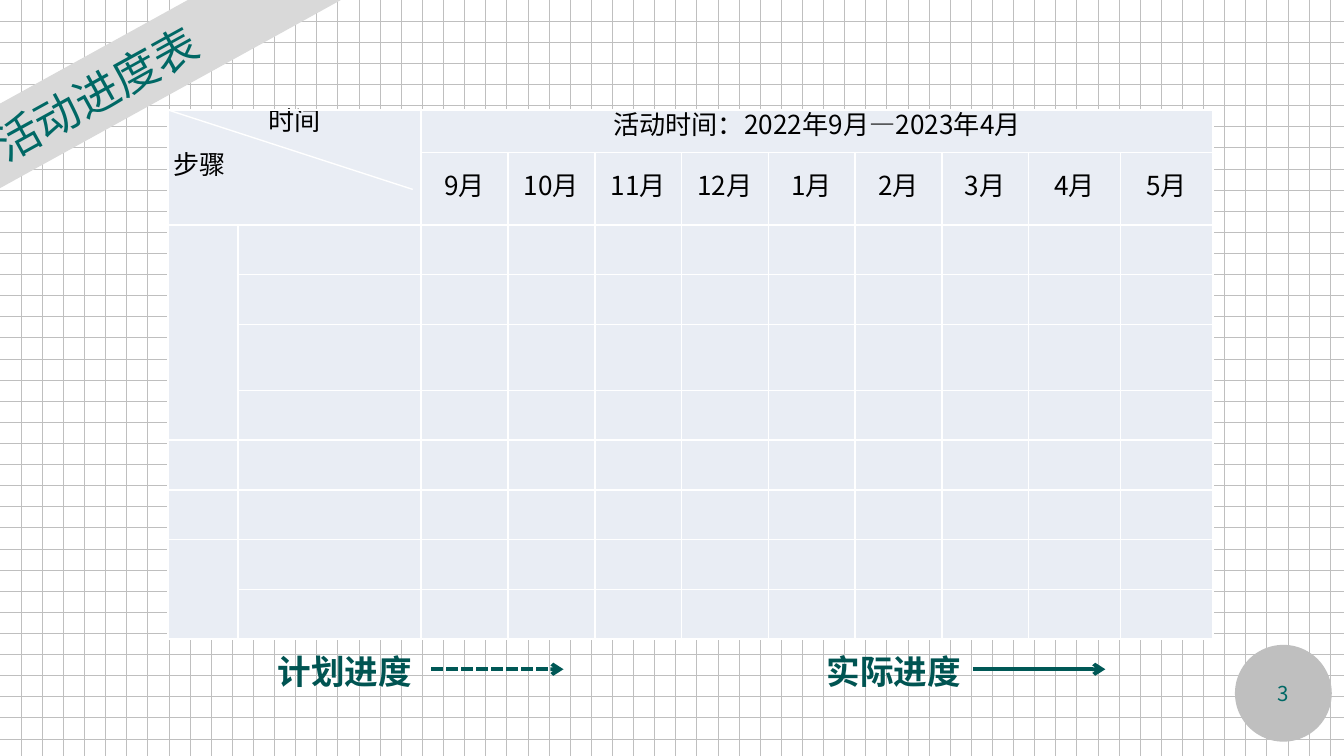
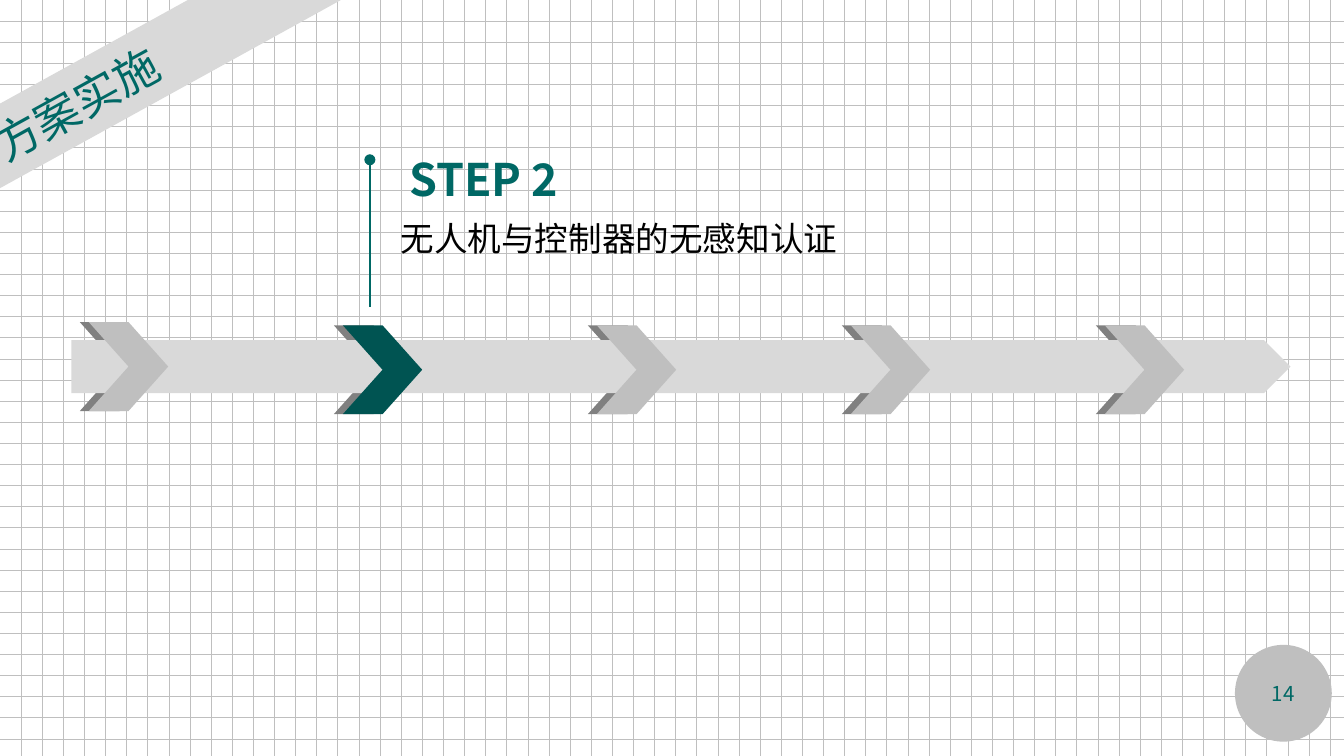
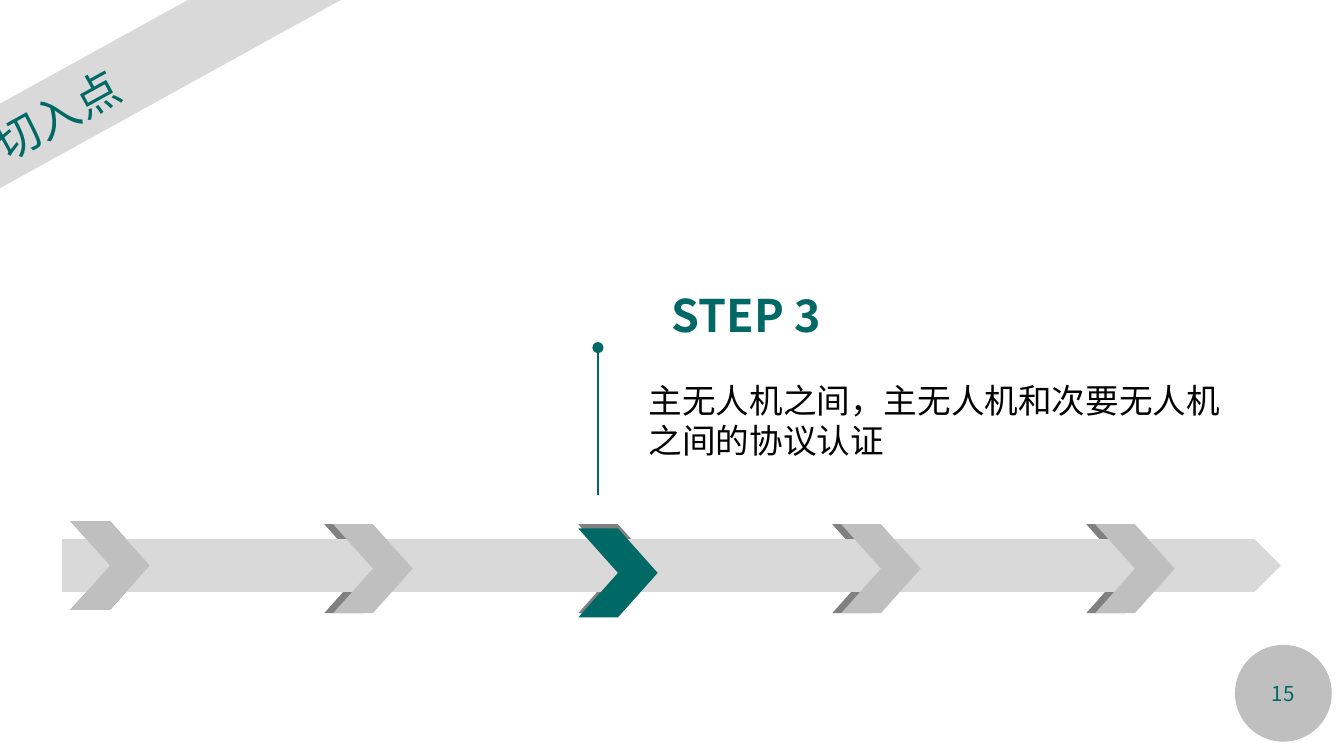
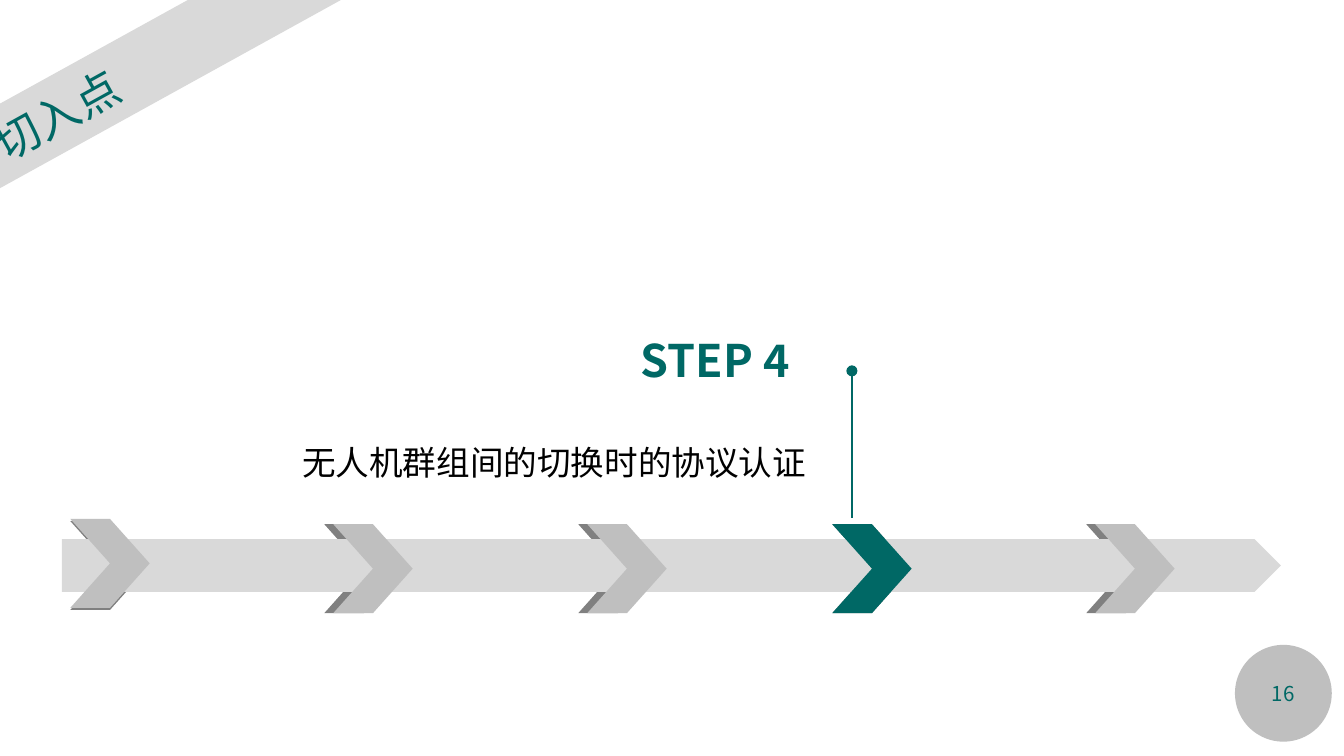
from dataclasses import dataclass

from lxml import etree
from pptx import Presentation
from pptx.dml.color import RGBColor
from pptx.enum.dml import MSO_LINE, MSO_PATTERN
from pptx.enum.shapes import MSO_CONNECTOR, MSO_SHAPE
from pptx.enum.text import MSO_ANCHOR, MSO_AUTO_SIZE, PP_ALIGN
from pptx.oxml.ns import qn
from pptx.util import Cm, Pt

RECTANGLE = MSO_SHAPE.RECTANGLE
OVAL = MSO_SHAPE.OVAL
CHEVRON = MSO_SHAPE.CHEVRON
PENTAGON = MSO_SHAPE.PENTAGON
STRAIGHT = MSO_CONNECTOR.STRAIGHT
SHORT_DASH = MSO_LINE.SQUARE_DOT
DOT_GRID = MSO_PATTERN.DOTTED_GRID
LEFT, CENTER = PP_ALIGN.LEFT, PP_ALIGN.CENTER
TOP, MIDDLE = MSO_ANCHOR.TOP, MSO_ANCHOR.MIDDLE
FIT_TEXT = MSO_AUTO_SIZE.SHAPE_TO_FIT_TEXT


@dataclass(frozen=True)
class Theme:
    teal: str = "006865"
    deep_teal: str = "005452"
    arrow: str = "005856"
    black: str = "000000"
    white: str = "FFFFFF"
    band: str = "D9D9D9"
    silver: str = "BFBFBF"
    fold: str = "808080"
    cell: str = "E9EDF4"
    font: str = "Noto Sans CJK SC"
    body_font: str = "Calibri"
    title_size: int = 24
    body_size: int = 18
    table_size: int = 14
    number_size: int = 11


THEME = Theme()
LEAN = (0.17, 0)
STEP_GAP = 4.8
CHEVRON_SIZE = (1.5, 1.68)
MONTHS = ["9月", "10月", "11月", "12月", "1月", "2月", "3月", "4月", "5月"]
COLUMN_WIDTHS = [1.32, 3.46] + [1.64] * 7 + [1.74] * 2
ROW_HEIGHTS = [0.8, 0.74, 0.94, 0.94, 1.25] + [0.94] * 5


def lengths(values):
    return [Cm(value) for value in values]


class Builder:
    def __init__(self, theme):
        self.theme = theme
        self.deck = Presentation()
        self.deck.slide_width, self.deck.slide_height = Cm(25.4), Cm(14.29)
        self.page = None

    def new_page(self, grid=False):
        self.page = self.deck.slides.add_slide(self.deck.slide_layouts[6])
        fill = self.page.background.fill
        if grid:
            fill.patterned()
            fill.pattern = DOT_GRID
            fill.fore_color.rgb = RGBColor.from_string(self.theme.silver)
            fill.back_color.rgb = RGBColor.from_string(self.theme.white)
        else:
            fill.solid()
            fill.fore_color.rgb = RGBColor.from_string(self.theme.white)

    def frame(self, title, number):
        band = self.shape(RECTANGLE, (-2.41, 0.48, 10.54, 1.4), self.theme.band)
        band.rotation = 331.1
        band.text_frame.margin_left = Cm(1.96)
        self.add_span(band.text_frame.paragraphs[0], title, self.theme.title_size,
                      self.theme.teal)
        badge = self.shape(OVAL, (23.34, 12.19, 1.83, 1.83), self.theme.silver)
        self.add_span(badge.text_frame.paragraphs[0], number,
                      self.theme.number_size, self.theme.teal, align=CENTER)

    def add_span(self, para, words, size, color, bold=False, font=None, align=LEFT):
        para.alignment = align
        span = para.add_run()
        span.text = words
        span.font.size = Pt(size)
        span.font.bold = bold
        span.font.name = font or self.theme.font
        span.font.color.rgb = RGBColor.from_string(color)
        east_asian = etree.SubElement(span.font._element, qn("a:ea"))
        east_asian.set("typeface", self.theme.font)

    def shape(self, kind, place, color, group=None):
        shape = (group or self.page).shapes.add_shape(kind, *lengths(place))
        shape.shadow.inherit = False
        shape.fill.solid()
        shape.fill.fore_color.rgb = RGBColor.from_string(color)
        shape.line.fill.background()
        shape.text_frame.vertical_anchor = MIDDLE
        return shape

    def text(self, place, words, size, color, group=None, **style):
        box = (group or self.page).shapes.add_textbox(*lengths(place))
        box.text_frame.word_wrap = True
        box.text_frame.auto_size = FIT_TEXT
        self.add_span(box.text_frame.paragraphs[0], words, size, color, **style)

    def line(self, ends, color, width, dash=None, head=None, tail=None):
        connector = self.page.shapes.add_connector(STRAIGHT, *lengths(ends))
        connector.line.color.rgb = RGBColor.from_string(color)
        connector.line.width = Pt(width)
        if dash:
            connector.line.dash_style = dash
        outline = connector.line._get_or_add_ln()
        for tag, kind in (("a:headEnd", head), ("a:tailEnd", tail)):
            if kind:
                etree.SubElement(outline, qn(tag)).set("type", kind)
        etree.SubElement(connector._element.spPr, qn("a:effectLst"))

    def style_cell(self, cell):
        properties = cell._tc.get_or_add_tcPr()
        for side in ("a:lnL", "a:lnR", "a:lnT", "a:lnB"):
            border = etree.SubElement(properties, qn(side), w=str(Pt(1)))
            fill = etree.SubElement(border, qn("a:solidFill"))
            etree.SubElement(fill, qn("a:srgbClr"), val=self.theme.white)
        cell.fill.solid()
        cell.fill.fore_color.rgb = RGBColor.from_string(self.theme.cell)
        cell.margin_left = cell.margin_right = Cm(0.1)
        cell.margin_top = cell.margin_bottom = 0

    def cell_text(self, para, words, spacing, align=CENTER):
        self.add_span(para, words, self.theme.table_size, self.theme.black, align=align)
        para.line_spacing = Pt(spacing)

    def schedule(self, left, top):
        place = (left, top, sum(COLUMN_WIDTHS), sum(ROW_HEIGHTS))
        table = self.page.shapes.add_table(
            len(ROW_HEIGHTS), len(COLUMN_WIDTHS), *lengths(place)).table
        table.first_row = table.horz_banding = False
        for column, width in zip(table.columns, COLUMN_WIDTHS):
            column.width = Cm(width)
        for row, height in zip(table.rows, ROW_HEIGHTS):
            row.height = Cm(height)
        for cell in table.iter_cells():
            self.style_cell(cell)
        for first, last in (((0, 0), (1, 1)), ((0, 2), (0, 10)),
                            ((2, 0), (5, 0)), ((8, 0), (9, 0))):
            table.cell(*first).merge(table.cell(*last))

        corner = table.cell(0, 0)
        corner.margin_top = Cm(0.1)
        corner.vertical_anchor = TOP
        self.cell_text(corner.text_frame.paragraphs[0], "时间", 12)
        steps = corner.text_frame.add_paragraph()
        self.cell_text(steps, "步骤", 12, LEFT)
        steps.space_before = Pt(12)

        period = table.cell(0, 2)
        period.vertical_anchor = MIDDLE
        self.cell_text(period.text_frame.paragraphs[0],
                       "活动时间：2022年9月—2023年4月", 12)
        for column, month in enumerate(MONTHS, start=2):
            cell = table.cell(1, column)
            cell.vertical_anchor = MIDDLE
            cell.margin_top = cell.margin_bottom = Cm(0.1)
            self.cell_text(cell.text_frame.paragraphs[0], month, 15.6)

    def timeline(self, left, top, active, color, shifts):
        group = self.page.shapes.add_group_shape()
        spots = [(left + 0.16 + STEP_GAP * step, top - (0.28 if step else 0.34))
                 for step in range(len(shifts))]
        for spot in spots:
            self.shape(CHEVRON, spot + CHEVRON_SIZE, self.theme.fold, group)
        self.shape(PENTAGON, (left, top, 23.04, 1), self.theme.band, group)
        for step, ((x, y), (dx, dy)) in enumerate(zip(spots, shifts), start=1):
            self.shape(CHEVRON, (x + dx, y + dy) + CHEVRON_SIZE,
                       color if step == active else self.theme.silver, group)

    def step(self, pin, number, heading, words, body):
        x, y = pin
        self.line((x, y, x, y + 2.79), self.theme.teal, 1, head="oval")
        group = self.page.shapes.add_group_shape()
        self.text(heading + (3.84, 1.27), f"STEP {number}", self.theme.title_size,
                  self.theme.teal, group, bold=True)
        self.text(body, words, self.theme.body_size, self.theme.black, group,
                  font=self.theme.body_font)


def schedule_page(builder):
    builder.new_page(grid=True)
    builder.frame("活动进度表", "3")
    builder.schedule(3.18, 2.08)
    builder.line((3.18, 2.08, 7.8, 3.58), THEME.white, 0.75)
    for label, x, start, dash in (("计划进度", 5, 8.15, SHORT_DASH),
                                  ("实际进度", 15.37, 18.39, None)):
        builder.line((start, 12.65, start + 2.5, 12.65), THEME.arrow, 2, dash,
                     tail="arrow")
        builder.text((x, 12.18, 3.18, 1.02), label, THEME.body_size,
                     THEME.deep_teal, bold=True)


def step_page(builder, title, page_number, rail, color, shifts, number, pin,
              heading, words, body, grid=False):
    builder.new_page(grid)
    builder.timeline(*rail, number, color, shifts)
    builder.frame(title, page_number)
    builder.step(pin, number, heading, words, body)


def main():
    builder = Builder(THEME)
    schedule_page(builder)
    step_page(builder, "方案实施", "14", (1.35, 6.43), THEME.deep_teal,
              [LEAN] * 5, 2, (6.99, 3.02), (7.49, 2.74),
              "无人机与控制器的无感知认证", (7.32, 3.99, 9.37, 1.02), grid=True)
    step_page(builder, "切入点", "15", (1.17, 10.19), THEME.teal,
              [(0, 0), LEAN, (0, 0.08), LEAN, LEAN], 3, (11.3, 6.57), (12.45, 5.31),
              "主无人机之间，主无人机和次要无人机之间的协议认证",
              (12.01, 7.06, 11.89, 1.8))
    step_page(builder, "切入点", "16", (1.17, 10.19), THEME.teal,
              [(0, -0.04), LEAN, LEAN, (0, 0), LEAN], 4, (16.1, 7.01), (11.86, 6.17),
              "无人机群组间的切换时的协议认证", (5.46, 8.23, 10.44, 1.02))
    builder.deck.save("out.pptx")


if __name__ == "__main__":
    main()
